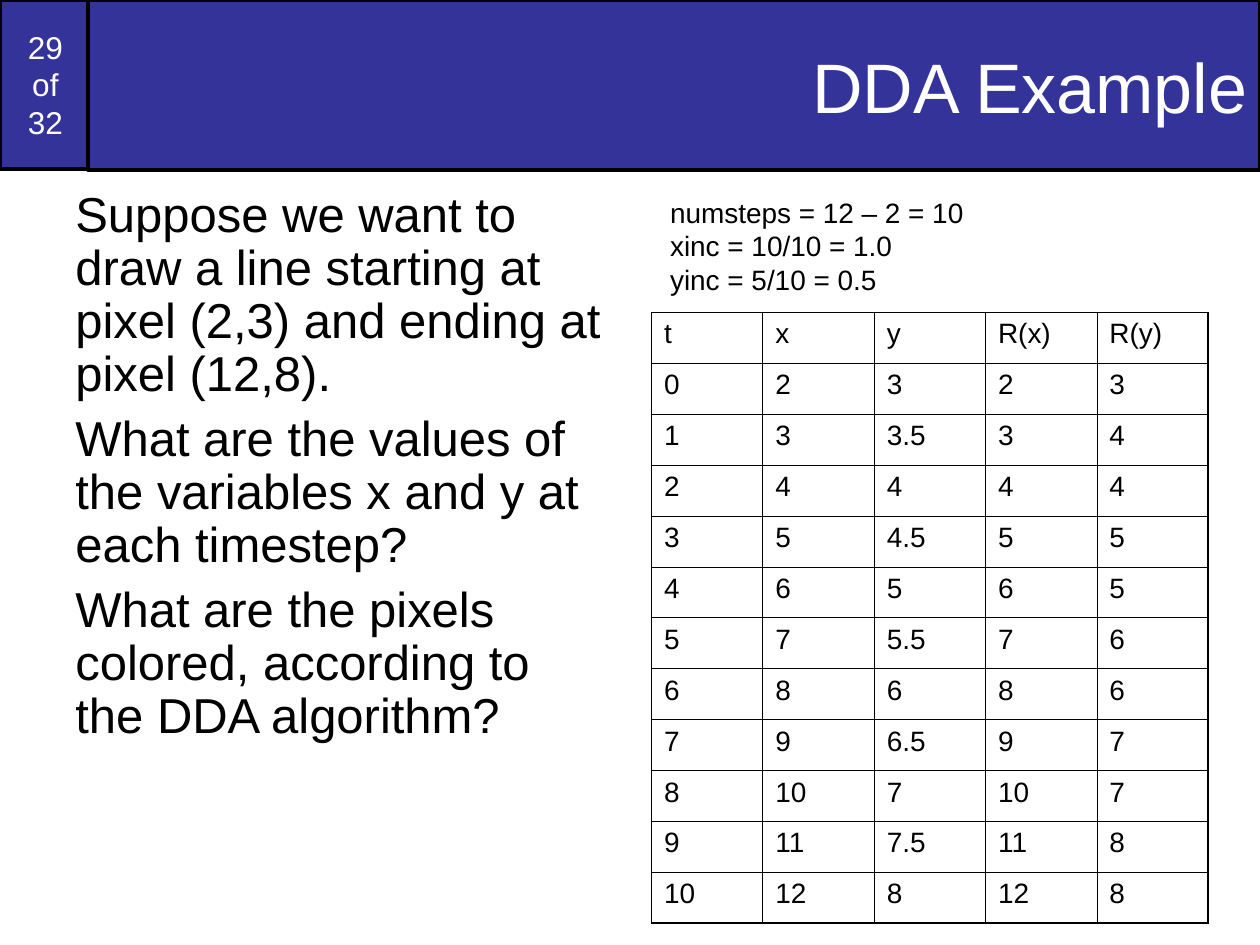
import math
import pptx
import pptx.util
import pptx.dml.color
import pptx.enum.shapes
import pptx.enum.text
import pptx.oxml

Inches, Pt = pptx.util.Inches, pptx.util.Pt
PP_ALIGN = pptx.enum.text.PP_ALIGN
COLORS = {"band": "333399", "black": "000000", "white": "FFFFFF"}


def rgb(name):
    return pptx.dml.color.RGBColor.from_string(COLORS[name])


def add_run(p, text, size, color):
    r = p.add_run()
    r.text = text
    r.font.name = "Arial"
    r.font.size = Pt(size)
    r.font.color.rgb = rgb(color)


prs = pptx.Presentation()
prs.slide_width, prs.slide_height = Inches(10), Inches(7.5)
s = prs.slides.add_slide(prs.slide_layouts[5])

title = s.shapes.title
title.left, title.top, title.width, title.height = Inches(0.7), 0, Inches(9.3), Inches(1.35)
counter = s.shapes.add_shape(
    pptx.enum.shapes.MSO_SHAPE.RECTANGLE, 0, 0, Inches(0.72), Inches(1.34))
counter.shadow.inherit = False
title.element.addprevious(counter.element)

for sp, lines, size, align in (
    (counter, ("29", "of", "32"), 18, PP_ALIGN.CENTER),
    (title, ("DDA Example",), 40, PP_ALIGN.RIGHT),
):
    sp.fill.solid()
    sp.fill.fore_color.rgb = rgb("band")
    sp.line.color.rgb = rgb("black")
    sp.line.width = Pt(2)
    tf = sp.text_frame
    tf.word_wrap = True
    tf.vertical_anchor = pptx.enum.text.MSO_ANCHOR.MIDDLE
    p = tf.paragraphs[0]
    p.alignment = align
    for i, line in enumerate(lines):
        if i:
            p.add_line_break()
        add_run(p, line, size, "white")

questions = (
    "Suppose we want to draw a line starting at pixel (2,3) and ending at pixel (12,8).",
    "What are the values of the variables x and y at each timestep?",
    "What are the pixels colored, according to the DDA algorithm?",
)
steps = ("numsteps = 12 – 2 = 10", "xinc = 10/10 = 1.0", "yinc = 5/10 = 0.5")
for box, lines, size, wrap, spacing, before in (
    ((0.5, 1.46, 4.42, 5.49), questions, 28, True, 0.9, 7),
    ((5.22, 1.5, 2.53, 0.9), steps, 16, False, 1.0, 0),
):
    tf = s.shapes.add_textbox(*[Inches(v) for v in box]).text_frame
    tf.word_wrap = wrap
    for i, line in enumerate(lines):
        p = tf.add_paragraph() if i else tf.paragraphs[0]
        p.line_spacing = spacing
        p.space_before = Pt(before)
        add_run(p, line, size, "black")

rows = [("t", "x", "y", "R(x)", "R(y)")]
for t in range(11):
    x, y = 2 + t, 3 + t * 0.5
    rows.append([f"{v:g}" for v in (t, x, y, x, math.floor(y + 0.5))])

n_rows, n_cols = len(rows), len(rows[0])
frame = s.shapes.add_table(
    n_rows, n_cols, Inches(5.17), Inches(2.48), Inches(4.42), Inches(4.85))
table = frame.table
table.first_row = table.horz_banding = False
for i, row in enumerate(rows):
    for j, text in enumerate(row):
        cell = table.cell(i, j)
        cell.fill.background()
        p = cell.text_frame.paragraphs[0]
        p.space_before = Pt(4)
        add_run(p, text, 16, "black")
        tc_pr = cell._tc.get_or_add_tcPr()
        outer = {"L": j == 0, "R": j == n_cols - 1, "T": i == 0, "B": i == n_rows - 1}
        for k, (side, is_outer) in enumerate(outer.items()):
            width = Pt(1.08 if is_outer else 0.45)
            tc_pr.insert(k, pptx.oxml.parse_xml(
                f'<a:ln{side} xmlns:a="http://schemas.openxmlformats.org/drawingml/2006/main" '
                f'w="{width}"><a:solidFill><a:srgbClr val="{COLORS["black"]}"/>'
                f'</a:solidFill></a:ln{side}>'))

prs.save("out.pptx")
